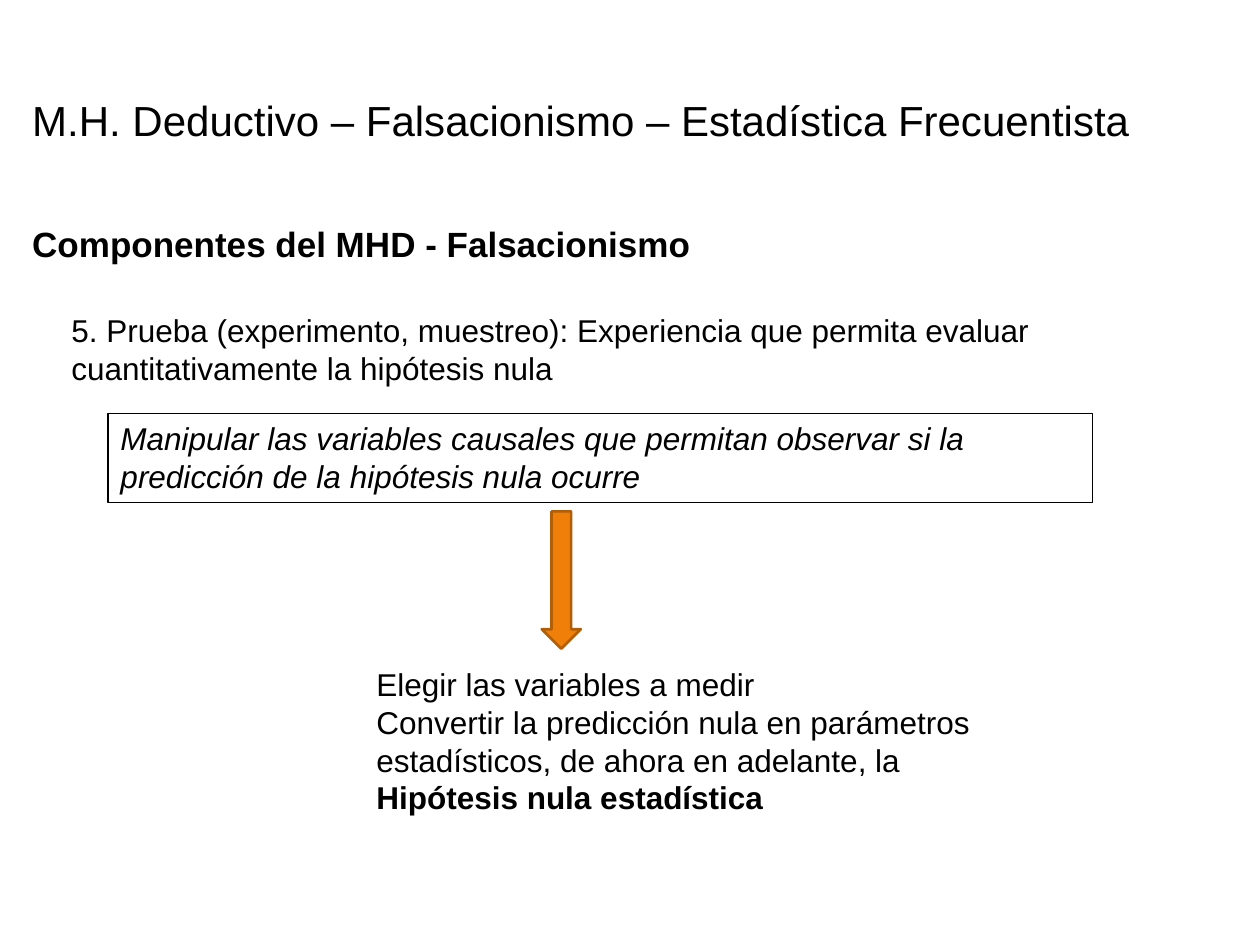
from pptx import Presentation
from pptx.dml.color import RGBColor
from pptx.enum.shapes import MSO_SHAPE as Shape
from pptx.enum.text import MSO_AUTO_SIZE as AutoSize
from pptx.util import Cm, Pt

COLORS = {"text": "000000", "arrow": "F07F09", "arrow_line": "B25E07"}
FONT = "Arial"


def rgb(name):
    return RGBColor.from_string(COLORS[name])


def set_line(sp, color, width):
    sp.line.color.rgb = rgb(color)
    sp.line.width = Pt(width)


def add_text(s, left, top, width, height, lines, size=18, bold=False, italic=False):
    """Add a wrapped text box with one paragraph per line."""
    sp = s.shapes.add_textbox(Cm(left), Cm(top), Cm(width), Cm(height))
    tf = sp.text_frame
    tf.word_wrap = True
    tf.auto_size = AutoSize.SHAPE_TO_FIT_TEXT
    tf.text = "\n".join(lines)
    for p in tf.paragraphs:
        font = p.font
        font.name, font.size = FONT, Pt(size)
        font.bold, font.italic = bold, italic
        font.color.rgb = rgb("text")
    return sp


def add_down_arrow(s, left, top, length, thickness):
    """Add a right arrow turned to point down; left and top are before the turn."""
    sp = s.shapes.add_shape(Shape.RIGHT_ARROW, Cm(left), Cm(top), Cm(length), Cm(thickness))
    sp.rotation = 90
    sp.shadow.inherit = False
    sp.fill.solid()
    sp.fill.fore_color.rgb = rgb("arrow")
    set_line(sp, "arrow_line", 1.5)


def main():
    prs = Presentation()
    prs.slide_width, prs.slide_height = Cm(25.4), Cm(19.05)
    s = prs.slides.add_slide(prs.slide_layouts[6])

    add_text(s, 0.4, 1.78, 23.1, 1.28,
             ["M.H. Deductivo – Falsacionismo – Estadística Frecuentista"], size=24)
    add_text(s, 0.4, 4.37, 15.9, 1.11,
             ["Componentes del MHD - Falsacionismo"], size=20, bold=True)
    add_text(s, 1.19, 6.15, 23.2, 1.8,
             ["5. Prueba (experimento, muestreo): Experiencia que permita evaluar "
              "cuantitativamente la hipótesis nula"])

    prediction = add_text(s, 2.18, 8.33, 19.84, 1.8,
                          ["Manipular las variables causales que permitan observar si la "
                           "predicción de la hipótesis nula ocurre"], italic=True)
    set_line(prediction, "text", 0.75)

    add_down_arrow(s, 9.93, 11.3, 2.77, 0.79)

    outcome = add_text(s, 7.34, 13.28, 15.47, 3.33,
                       ["Elegir las variables a medir",
                        "Convertir la predicción nula en parámetros estadísticos, "
                        "de ahora en adelante, la",
                        "Hipótesis nula estadística"])
    outcome.text_frame.paragraphs[-1].font.bold = True

    prs.save("out.pptx")


if __name__ == "__main__":
    main()
